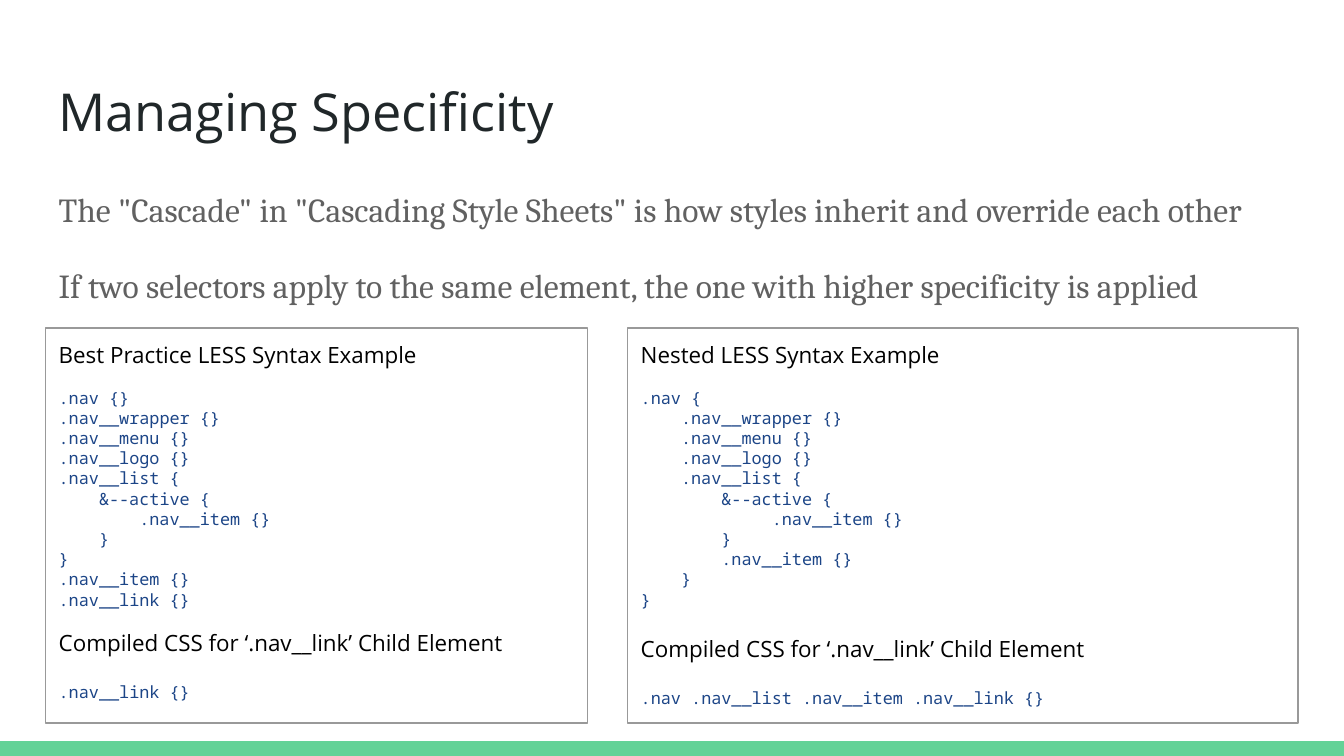
from dataclasses import dataclass

from pptx import Presentation, util as u
from pptx.dml import color
from pptx.enum import shapes, text

TITLE = "Managing Specificity"
STATEMENTS = [
    'The "Cascade" in "Cascading Style Sheets" is how styles inherit and override each other',
    "If two selectors apply to the same element, the one with higher specificity is applied",
]
COMPILED_HEADING = "Compiled CSS for ‘.nav__link’ Child Element"
EXAMPLES = [
    {
        "left": 0.86, "width": 10.24, "gap": 10.3,
        "heading": "Best Practice LESS Syntax Example",
        "source": """\
.nav {}
.nav__wrapper {}
.nav__menu {}
.nav__logo {}
.nav__list {
    &--active {
        .nav__item {}
    }
}
.nav__item {}
.nav__link {}""",
        "compiled": ".nav__link {}",
    },
    {
        "left": 11.86, "width": 12.67, "gap": 13.8,
        "heading": "Nested LESS Syntax Example",
        "source": """\
.nav {
    .nav__wrapper {}
    .nav__menu {}
    .nav__logo {}
    .nav__list {
        &--active {
             .nav__item {}
        }
        .nav__item {}
    }
}""",
        "compiled": ".nav .nav__list .nav__item .nav__link {}",
    },
]


@dataclass(frozen=True)
class Style:
    """Font, size in points and colour of a kind of text."""
    font: str
    size: int
    color: str


class Theme:
    """Colours and text styles of the slide."""
    title = Style("Open Sans", 28, "202729")
    body = Style("Cambria", 18, "616161")
    heading = Style("Open Sans", 12, "000000")
    code = Style("Noto Sans Mono", 9, "1C4587")
    band = "63D297"
    border = "999999"


SLIDE_WIDTH, SLIDE_HEIGHT = 25.4, 14.29
MARGIN, INSET, BAND_HEIGHT = 0.86, 0.25, 0.28
CODE_ADVANCE = 0.6  # character width as a share of the type size


def rgb(value):
    """Turn a hex string into a colour."""
    return color.RGBColor.from_string(value)


def add_box(slide, left, top, width, height, fill=None, line=None):
    """Add a flat rectangle with optional fill and outline."""
    shape = slide.shapes.add_shape(
        shapes.MSO_SHAPE.RECTANGLE, *map(u.Cm, (left, top, width, height)))
    shape.shadow.inherit = False
    if fill:
        shape.fill.solid()
        shape.fill.fore_color.rgb = rgb(fill)
    else:
        shape.fill.background()
    if line:
        shape.line.color.rgb = rgb(line)
        shape.line.width = u.Pt(0.75)
    else:
        shape.line.fill.background()
    return shape


def write(shape, lines):
    """Fill a shape with (text, style, space before, line spacing) lines."""
    frame = shape.text_frame
    frame.word_wrap = True
    frame.vertical_anchor = text.MSO_ANCHOR.TOP
    frame.margin_left = frame.margin_right = u.Cm(INSET)
    frame.margin_top = frame.margin_bottom = u.Cm(INSET)
    for index, (content, style, before, spacing) in enumerate(lines):
        paragraph = frame.add_paragraph() if index else frame.paragraphs[0]
        paragraph.alignment = text.PP_ALIGN.LEFT
        paragraph.space_before = u.Pt(before)
        paragraph.line_spacing = spacing
        words = content.lstrip()
        indent = (len(content) - len(words)) * style.size * CODE_ADVANCE
        if indent:
            paragraph._p.get_or_add_pPr().set("marL", str(u.Pt(indent)))
        run = paragraph.add_run()
        run.text = words
        run.font.name = style.font
        run.font.size = u.Pt(style.size)
        run.font.color.rgb = rgb(style.color)


def add_text(slide, top, height, lines):
    """Add a text box across the slide between the margins."""
    box = slide.shapes.add_textbox(
        *map(u.Cm, (MARGIN, top, SLIDE_WIDTH - 2 * MARGIN, height)))
    write(box, lines)


def example_lines(example):
    """List the lines of an example panel with the gaps before them."""
    first, *others = example["source"].splitlines()
    return [
        (example["heading"], Theme.heading, 0, 1.0),
        (first, Theme.code, 10.3, 1.0),
        *((line, Theme.code, 0, 1.0) for line in others),
        (COMPILED_HEADING, Theme.heading, example["gap"], 1.0),
        (example["compiled"], Theme.code, 13.8, 1.0),
    ]


presentation = Presentation()
presentation.slide_width = u.Cm(SLIDE_WIDTH)
presentation.slide_height = u.Cm(SLIDE_HEIGHT)
slide = presentation.slides.add_slide(presentation.slide_layouts[6])

add_box(slide, 0, SLIDE_HEIGHT - BAND_HEIGHT, SLIDE_WIDTH, BAND_HEIGHT, fill=Theme.band)
add_text(slide, 1.24, 1.6, [(TITLE, Theme.title, 0, 1.0)])
add_text(slide, 3.2, 3.0, [
    (statement, Theme.body, 16 * index, 1.15)
    for index, statement in enumerate(STATEMENTS)])
for example in EXAMPLES:
    panel = add_box(slide, example["left"], 6.2, example["width"], 7.47, line=Theme.border)
    write(panel, example_lines(example))

presentation.save("out.pptx")
